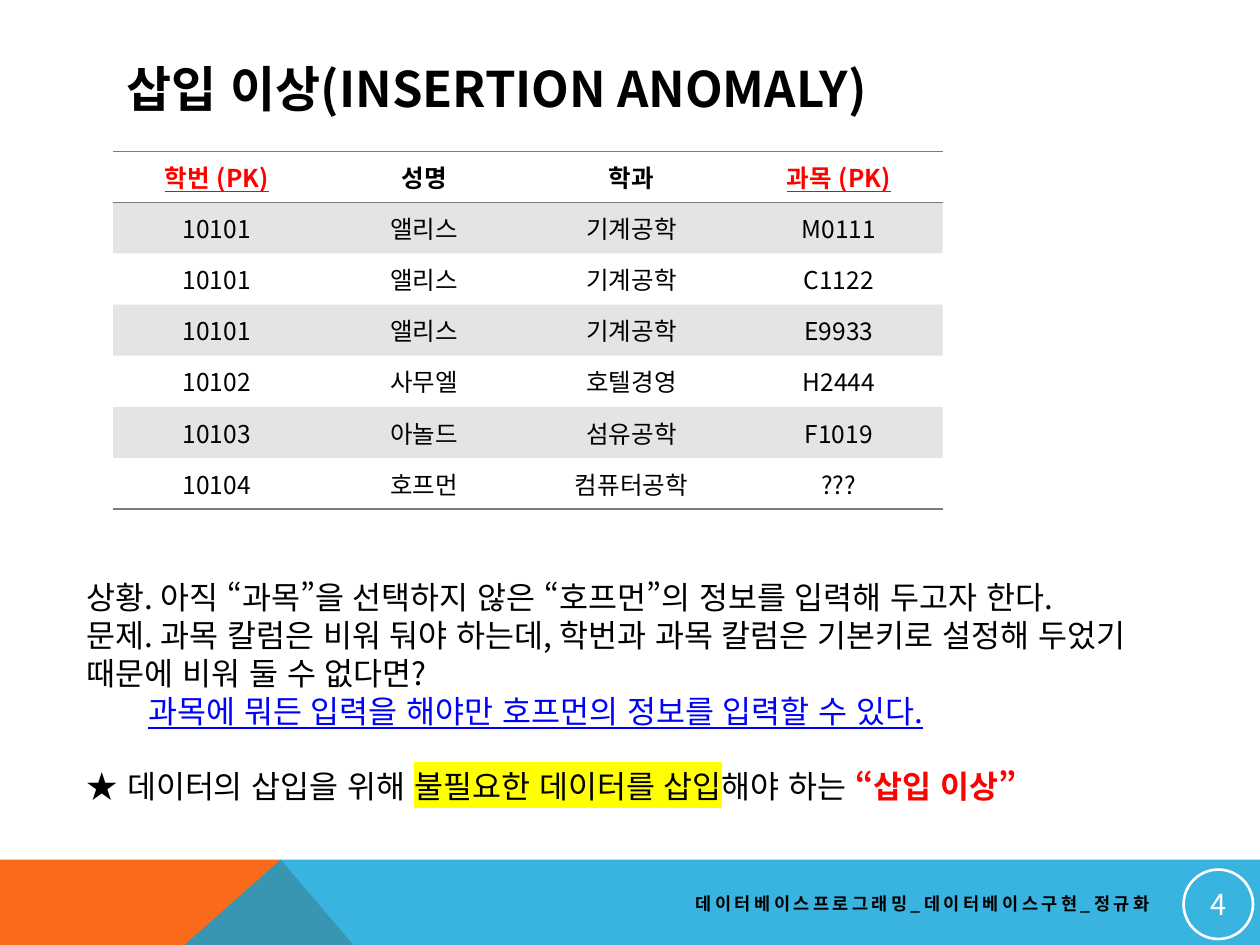
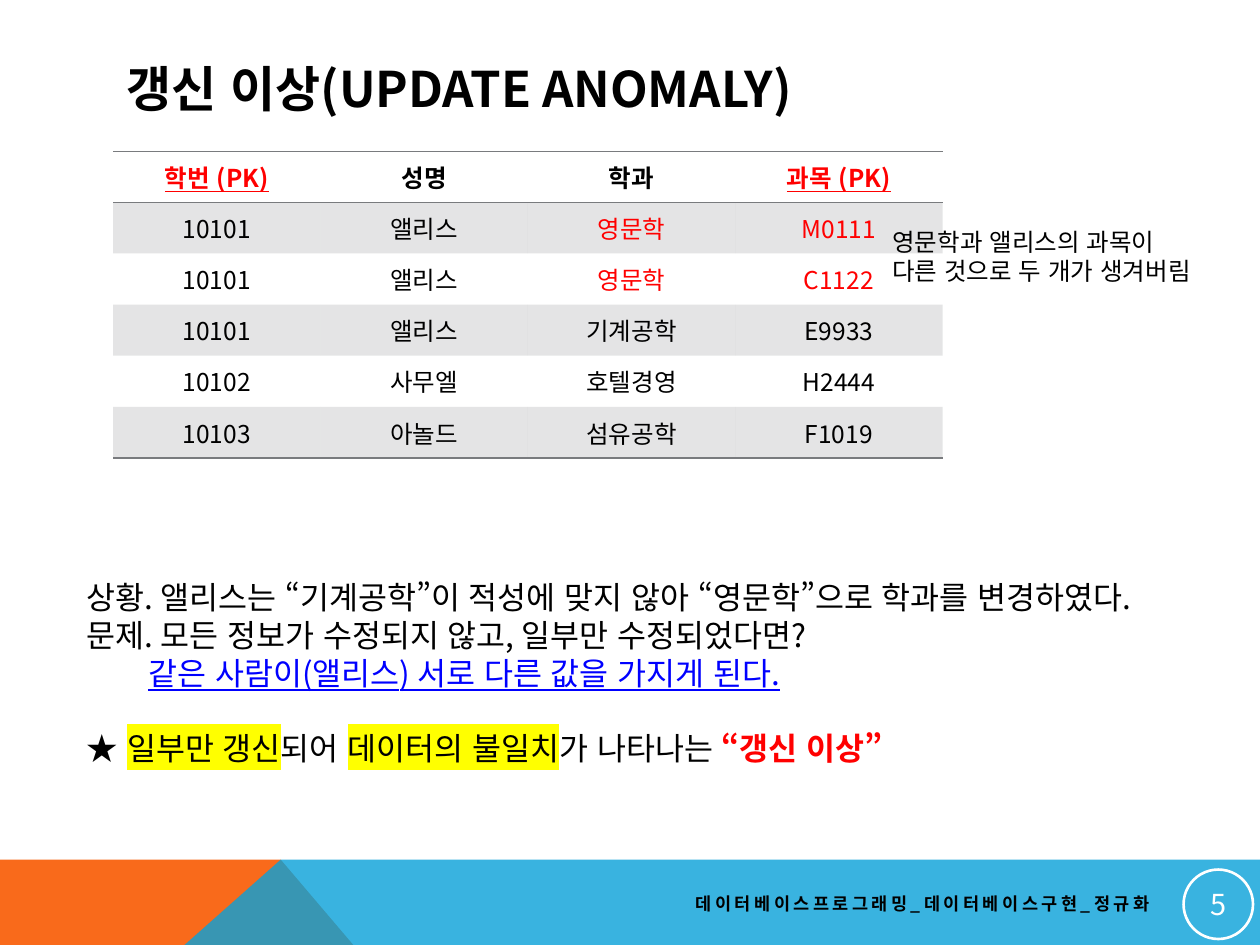
from dataclasses import dataclass
from typing import Optional

from lxml.etree import SubElement
from pptx import Presentation
from pptx.dml.color import RGBColor
from pptx.enum.lang import MSO_LANGUAGE_ID as Language
from pptx.enum.shapes import MSO_SHAPE as Shape
from pptx.enum.text import MSO_ANCHOR as Anchor, PP_ALIGN as Align
from pptx.oxml.ns import qn
from pptx.oxml.xmlchemy import OxmlElement
from pptx.util import Cm, Pt

BLACK = RGBColor(0, 0, 0)
WHITE = RGBColor(255, 255, 255)
RED = RGBColor(255, 0, 0)
BLUE = RGBColor(0, 0, 255)
YELLOW = RGBColor(255, 255, 0)
ORANGE = RGBColor(0xF9, 0x6A, 0x1B)
SKY = RGBColor(0x08, 0xA1, 0xD9)
GREY = RGBColor(0x79, 0x7B, 0x7E)

FONT = "Noto Sans CJK KR"
LINE_FACTOR = 1.2
BODY_SIZE = 18
PAGE_WIDTH, PAGE_HEIGHT = 25.4, 19.05
BAND_TOP, BAND_BOTTOM = 17.33, 22.35
COLUMN_WIDTH, ROW_HEIGHT = 4.18, 1.03
NO_STYLE_NO_GRID = "{2D5ABB26-0587-4C30-8999-92F81FD0307C}"
FOOTER = "데이터베이스프로그래밍_데이터베이스구현_정규화"
HEADERS = ["학번 (PK)", "성명", "학과", "과목 (PK)"]
KEY_COLUMNS = (0, 3)


@dataclass
class Style:
    color: RGBColor = BLACK
    bold: bool = False
    underline: bool = False
    highlight: Optional[RGBColor] = None


PLAIN = Style()
STRONG = Style(bold=True)
KEY = Style(RED, bold=True, underline=True)
CHANGED = Style(RED)
ANSWER = Style(BLUE, underline=True)
MARKED = Style(highlight=YELLOW)
TERM = Style(RED, bold=True)
LIGHT = Style(WHITE)


def format_run(span, size, style):
    font = span.font
    font.size = Pt(size)
    font.name = FONT
    font.bold = style.bold
    font.underline = style.underline
    font.color.rgb = style.color
    font.language_id = Language.KOREAN
    if style.highlight is not None:
        mark = OxmlElement("a:highlight")
        SubElement(mark, qn("a:srgbClr")).set("val", str(style.highlight))
        span._r.get_or_add_rPr().find(qn("a:solidFill")).addnext(mark)


def write_line(frame, text, size, style, align=Align.LEFT):
    para = frame.paragraphs[0]
    para.text = text
    para.alignment = align
    format_run(para.runs[0], size, style)
    return para.runs[0]


def write_lines(frame, lines, size):
    frame.text = "\n".join("" for _ in lines)
    for para, parts in zip(frame.paragraphs, lines):
        para.line_spacing = Pt(round(size * LINE_FACTOR, 1))
        for text, style in parts:
            span = para.add_run()
            span.text = text
            format_run(span, size, style)


def add_box(page, left, top, width, height, anchor=Anchor.TOP):
    box = page.shapes.add_textbox(Cm(left), Cm(top), Cm(width), Cm(height))
    box.text_frame.word_wrap = True
    box.text_frame.vertical_anchor = anchor
    return box.text_frame


def fill_solid(fill, element, color, opacity=100):
    fill.solid()
    fill.fore_color.rgb = color
    if opacity < 100:
        tint = element.find(".//" + qn("a:solidFill") + "/" + qn("a:srgbClr"))
        SubElement(tint, qn("a:alpha")).set("val", str(opacity * 1000))


def add_band(page, points, color, opacity=100):
    corners = [(Cm(x), Cm(y)) for x, y in points]
    builder = page.shapes.build_freeform(*corners[0])
    builder.add_line_segments(corners[1:], close=True)
    band = builder.convert_to_shape()
    band.shadow.inherit = False
    band.line.fill.background()
    fill_solid(band.fill, band._element.spPr, color, opacity)


def add_bands(page):
    corner, peak = (0, BAND_BOTTOM), (5.66, BAND_TOP)
    add_band(page, [corner, (0, BAND_TOP), peak, (9.93, BAND_BOTTOM)], ORANGE)
    add_band(page, [corner, peak, (PAGE_WIDTH, BAND_TOP),
                    (PAGE_WIDTH, BAND_BOTTOM)], SKY, 80)


def add_title(page, text):
    frame = add_box(page, 2.31, 1.02, 20.88, 1.52, Anchor.MIDDLE)
    write_line(frame, text, 28, STRONG)


def add_footer(page, number):
    frame = add_box(page, 10.29, 17.83, 13.13, 0.76, Anchor.MIDDLE)
    span = write_line(frame, FOOTER, 10, STRONG, Align.RIGHT)
    span._r.get_or_add_rPr().set("spc", "200")

    badge = page.shapes.add_shape(Shape.OVAL, Cm(23.86), Cm(17.53), Cm(1.4), Cm(1.4))
    badge.shadow.inherit = False
    badge.fill.background()
    badge.line.color.rgb = WHITE
    badge.line.width = Pt(1.5)
    frame = badge.text_frame
    frame.margin_left = frame.margin_right = Cm(0.03)
    frame.margin_top = frame.margin_bottom = Cm(0.03)
    frame.vertical_anchor = Anchor.MIDDLE
    write_line(frame, str(number), 16.5, LIGHT, Align.CENTER)


def add_borders(cell, sides):
    properties = cell._tc.get_or_add_tcPr()
    for position, side in enumerate(sides):
        edge = OxmlElement("a:ln" + side)
        edge.set("w", str(Pt(1)))
        fill = SubElement(edge, qn("a:solidFill"))
        SubElement(fill, qn("a:srgbClr")).set("val", str(GREY))
        properties.insert(position, edge)


def add_records(page, records, changed):
    rows = [HEADERS] + records
    table = page.shapes.add_table(
        len(rows), len(HEADERS), Cm(2.28), Cm(3.05),
        Cm(COLUMN_WIDTH * len(HEADERS)), Cm(ROW_HEIGHT * len(rows))).table
    table.first_row = table.horz_banding = False
    table._tbl.tblPr.find(qn("a:tableStyleId")).text = NO_STYLE_NO_GRID
    for column in table.columns:
        column.width = Cm(COLUMN_WIDTH)
    for row_index, values in enumerate(rows):
        table.rows[row_index].height = Cm(ROW_HEIGHT)
        for column_index, value in enumerate(values):
            cell = table.cell(row_index, column_index)
            cell.vertical_anchor = Anchor.MIDDLE
            if row_index == 0:
                style = KEY if column_index in KEY_COLUMNS else STRONG
            else:
                style = CHANGED if (row_index, column_index) in changed else PLAIN
            write_line(cell.text_frame, value, 14, style, Align.CENTER)
            if row_index % 2:
                fill_solid(cell.fill, cell._tc.tcPr, GREY, 20)
            else:
                cell.fill.background()
            if row_index == 0:
                add_borders(cell, "TB")
            elif row_index == len(rows) - 1:
                add_borders(cell, "B")


def add_explanation(page, statements, answer, conclusion):
    lines = [[(text, PLAIN)] for text in statements]
    lines += [[(answer, ANSWER)], conclusion]
    height = 0.25 + 0.77 * (len(lines) + 1)
    frame = add_box(page, 1.5, 11.53, 23.83, height)
    write_lines(frame, lines, BODY_SIZE)
    answer_para, conclusion_para = frame.paragraphs[-2:]
    answer_para._p.get_or_add_pPr().set("marL", str(Cm(1.24)))
    conclusion_para.space_before = Pt(round(BODY_SIZE * LINE_FACTOR, 1))


def add_note(page, texts):
    frame = add_box(page, 17.74, 4.45, 7.19, 1.45)
    write_lines(frame, [[(text, PLAIN)] for text in texts], 14)


def add_page(deck, number, title, records, changed=()):
    page = deck.slides.add_slide(deck.slide_layouts[6])
    add_bands(page)
    add_title(page, title)
    add_records(page, records, changed)
    add_footer(page, number)
    return page


def main():
    deck = Presentation()
    deck.slide_width, deck.slide_height = Cm(PAGE_WIDTH), Cm(PAGE_HEIGHT)

    alice = ["10101", "앨리스"]
    engineering = "기계공학"
    english = "영문학"
    others = [
        alice + [engineering, "E9933"],
        ["10102", "사무엘", "호텔경영", "H2444"],
        ["10103", "아놀드", "섬유공학", "F1019"],
    ]

    insertion = add_page(
        deck, 4, "삽입 이상(INSERTION ANOMALY)",
        [alice + [engineering, "M0111"], alice + [engineering, "C1122"]] + others
        + [["10104", "호프먼", "컴퓨터공학", "???"]])
    add_explanation(
        insertion,
        ["상황. 아직 “과목”을 선택하지 않은 “호프먼”의 정보를 입력해 두고자 한다.",
         "문제. 과목 칼럼은 비워 둬야 하는데, 학번과 과목 칼럼은 기본키로 설정해 두었기",
         "때문에 비워 둘 수 없다면?"],
        "과목에 뭐든 입력을 해야만 호프먼의 정보를 입력할 수 있다.",
        [("★ 데이터의 삽입을 위해 ", PLAIN), ("불필요한 데이터를 삽입", MARKED),
         ("해야 하는 ", PLAIN), ("“삽입 이상”", TERM)])

    update = add_page(
        deck, 5, "갱신 이상(UPDATE ANOMALY)",
        [alice + [english, "M0111"], alice + [english, "C1122"]] + others,
        changed=[(row, column) for row in (1, 2) for column in (2, 3)])
    add_explanation(
        update,
        ["상황. 앨리스는 “기계공학”이 적성에 맞지 않아 “영문학”으로 학과를 변경하였다.",
         "문제. 모든 정보가 수정되지 않고, 일부만 수정되었다면?"],
        "같은 사람이(앨리스) 서로 다른 값을 가지게 된다.",
        [("★ ", PLAIN), ("일부만 갱신", MARKED), ("되어 ", PLAIN),
         ("데이터의 불일치", MARKED), ("가 나타나는 ", PLAIN), ("“갱신 이상”", TERM)])
    add_note(update, ["영문학과 앨리스의 과목이", "다른 것으로 두 개가 생겨버림"])

    deck.save("out.pptx")


main()
